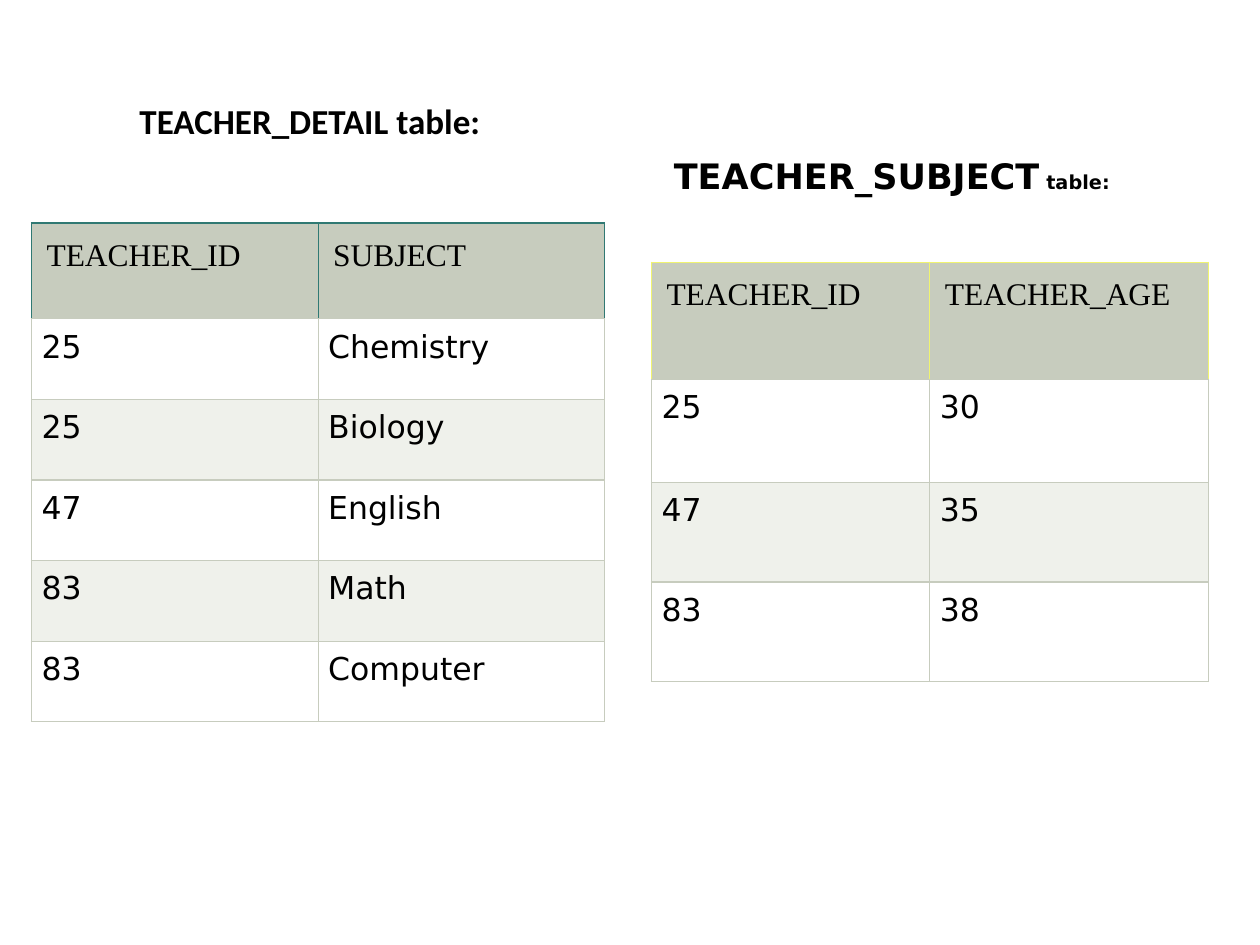
from dataclasses import dataclass

from lxml import etree
from pptx import Presentation
from pptx.dml.color import RGBColor
from pptx.enum import text
from pptx.oxml.ns import qn
from pptx.util import Inches, Pt


@dataclass(frozen=True)
class Theme:
    ink: str = "000000"
    head_fill: str = "C7CCBE"
    band_fills: tuple = ("FFFFFF", "EFF1EB")
    rule: str = "C7CCBE"
    teal: str = "307973"
    yellow: str = "F0F470"
    rule_width: float = 0.75
    title_font: str = "Calibri"
    head_font: str = "Times New Roman"
    body_font: str = "DejaVu Sans"
    title_size: int = 20
    table_size: int = 18
    note_size: int = 11


THEME = Theme()


def add_run(p, words, name, size, bold=False):
    r = p.add_run()
    r.text = words
    for key, value in dict(name=name, size=Pt(size), bold=bold).items():
        setattr(r.font, key, value)
    r.font.color.rgb = RGBColor.from_string(THEME.ink)


def set_box(sp, box):
    for key, value in zip(("left", "top", "width", "height"), box):
        setattr(sp, key, Inches(value))


def set_borders(cell, edge, bottom):
    tc_pr = cell._tc.get_or_add_tcPr()
    for side, color in dict(L=edge, R=edge, T=edge, B=bottom).items():
        ln = etree.SubElement(tc_pr, qn(f"a:ln{side}"), w=str(Pt(THEME.rule_width)))
        fill = etree.SubElement(ln, qn("a:solidFill"))
        etree.SubElement(fill, qn("a:srgbClr"), val=color)


def style_cell(cell, words, fill, font, inset, edge):
    for side in ("left", "right", "top", "bottom"):
        setattr(cell, f"margin_{side}", Inches(inset))
    set_borders(cell, edge, THEME.rule)
    cell.fill.solid()
    cell.fill.fore_color.rgb = RGBColor.from_string(fill)
    add_run(cell.text_frame.paragraphs[0], words, font, THEME.table_size)


def add_title(s, box, words):
    sp = s.shapes.title
    set_box(sp, box)
    tf = sp.text_frame
    tf.vertical_anchor = text.MSO_ANCHOR.MIDDLE
    p = tf.paragraphs[0]
    p.alignment = text.PP_ALIGN.CENTER
    add_run(p, words, THEME.title_font, THEME.title_size, bold=True)


def add_heading(s, box, name, note):
    tf = s.shapes.add_textbox(*map(Inches, box)).text_frame
    tf.word_wrap = True
    tf.auto_size = text.MSO_AUTO_SIZE.SHAPE_TO_FIT_TEXT
    tf.vertical_anchor = text.MSO_ANCHOR.MIDDLE
    p = tf.paragraphs[0]
    add_run(p, name, THEME.body_font, THEME.title_size, bold=True)
    add_run(p, note, THEME.body_font, THEME.note_size, bold=True)


def add_data_table(s, box, rows, heights, head_edge):
    table = s.shapes.add_table(len(rows), len(rows[0]), *map(Inches, box)).table
    for i, (row, height) in enumerate(zip(rows, heights)):
        table.rows[i].height = Inches(height)
        for j, words in enumerate(row):
            if i == 0:
                look = (THEME.head_fill, THEME.head_font, 0.12, head_edge)
            else:
                band = THEME.band_fills[(i - 1) % 2]
                look = (band, THEME.body_font, 0.08, THEME.rule)
            style_cell(table.cell(i, j), words, *look)


def main():
    prs = Presentation()
    prs.slide_width, prs.slide_height = Inches(10), Inches(7.5)
    s = prs.slides.add_slide(prs.slide_layouts[5])

    # Right: teacher ages
    ages = [("TEACHER_ID", "TEACHER_AGE"), ("25", "30"), ("47", "35"), ("83", "38")]
    add_data_table(s, (5.17, 2.08, 4.42, 3.32), ages,
                   (0.93, 0.82, 0.79, 0.79), THEME.yellow)
    add_heading(s, (5.25, 1.17, 4.33, 0.44), "TEACHER_SUBJECT", " table:")

    # Left: subjects taught
    subjects = [("TEACHER_ID", "SUBJECT"), ("25", "Chemistry"), ("25", "Biology"),
                ("47", "English"), ("83", "Math"), ("83", "Computer")]
    add_title(s, (0.5, 0.3, 3.92, 1.31), "TEACHER_DETAIL table:")
    add_data_table(s, (0.25, 1.77, 4.55, 3.97), subjects,
                   (0.76, *[0.64] * 5), THEME.teal)

    prs.save("out.pptx")


if __name__ == "__main__":
    main()
